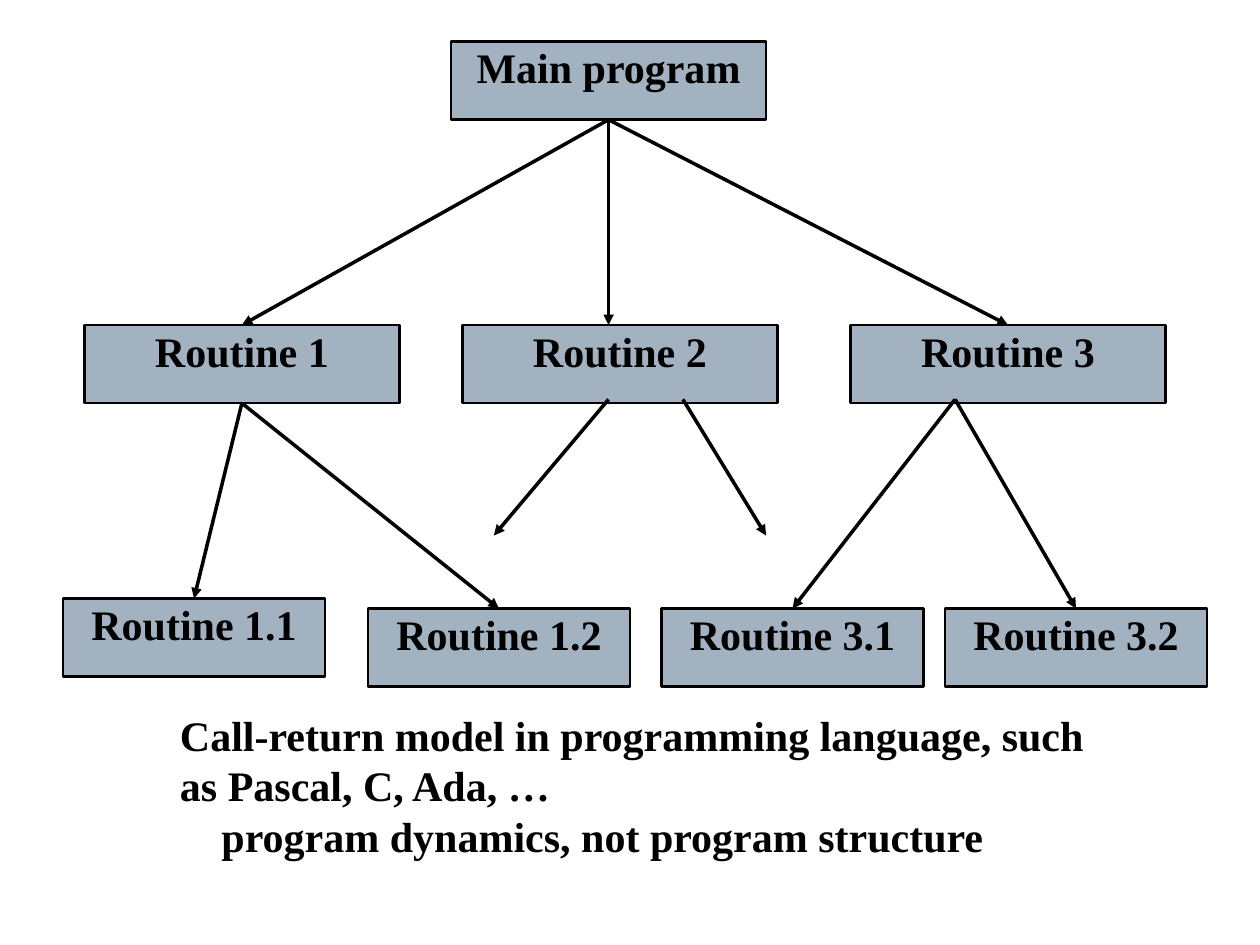
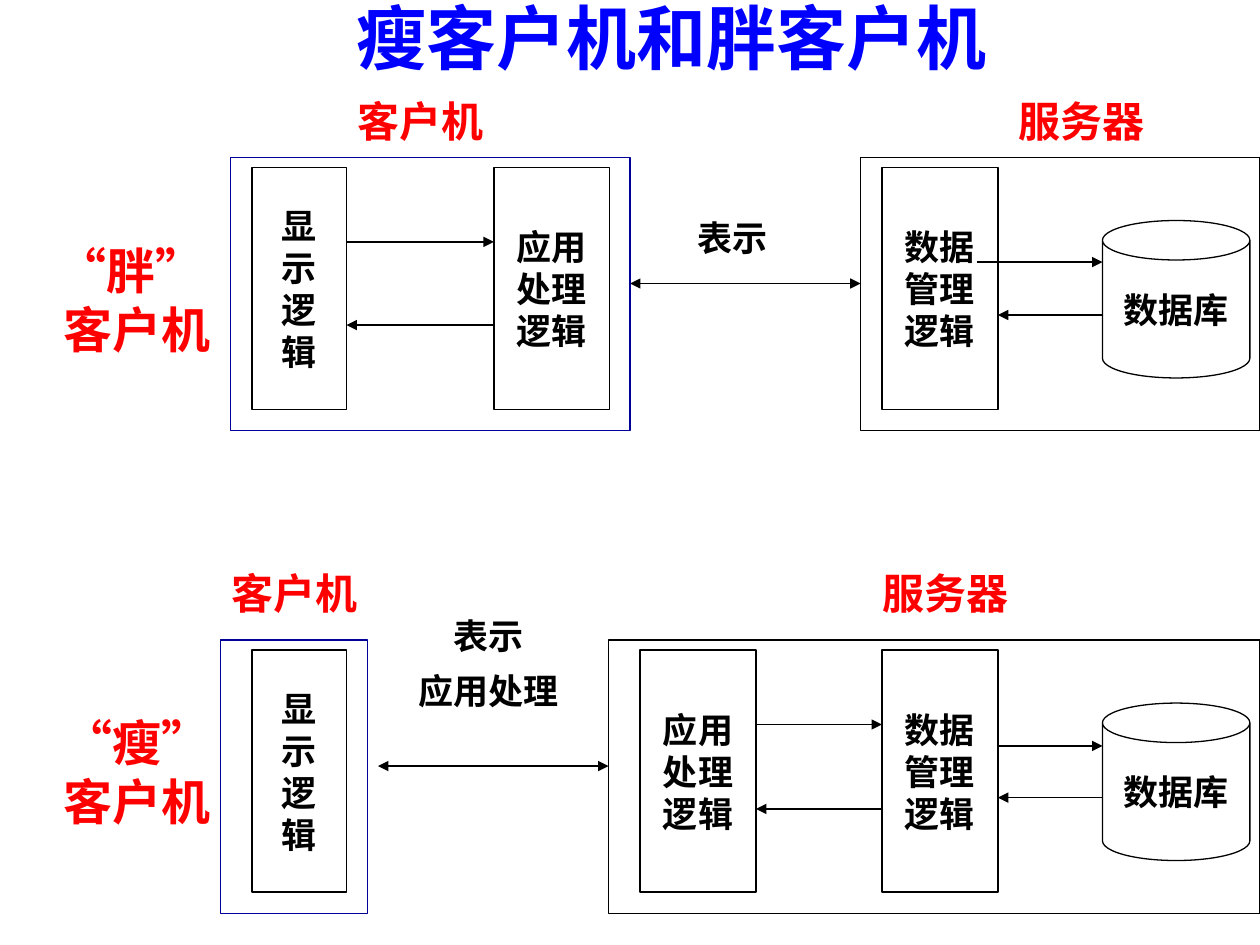
from lxml import etree
from pptx import Presentation
from pptx.dml.color import RGBColor
from pptx.enum import shapes, text
from pptx.oxml import ns
from pptx import util as u

BLACK = RGBColor(0x00, 0x00, 0x00)
RED = RGBColor(0xFF, 0x00, 0x00)
BLUE = RGBColor(0x00, 0x00, 0xFF)
NAVY = RGBColor(0x00, 0x00, 0x99)
STEEL = RGBColor(0xA3, 0xB2, 0xC1)

SERIF = "Times New Roman"
SANS = "Arial"
RECT = shapes.MSO_SHAPE.RECTANGLE
CAN = shapes.MSO_SHAPE.CAN
CENTER = text.PP_ALIGN.CENTER
LEFT = text.PP_ALIGN.LEFT
TOP = text.MSO_ANCHOR.TOP
MIDDLE = text.MSO_ANCHOR.MIDDLE
TOP_SIDE, BOTTOM_SIDE = 0, 2


def is_point(end):
    return isinstance(end[0], (int, float))


class Painter:
    """Holds the current slide with its font, text size and line width."""

    def __init__(self, deck, font, size, line_width):
        self.page = deck.slides.add_slide(deck.slide_layouts[6])
        self.font = font
        self.size = size
        self.line_width = line_width

    def set_text(self, box, lines, size=None, color=BLACK, font=None,
                 align=CENTER, anchor=MIDDLE, wrap=False, gap=0):
        frame = box.text_frame
        frame.word_wrap = wrap
        frame.vertical_anchor = anchor
        for index, line in enumerate(lines):
            para = frame.paragraphs[0] if index == 0 else frame.add_paragraph()
            para.text = line
            para.alignment = align
            if index and gap:
                para.space_before = u.Pt(gap)
            para.font.name = font or self.font
            para.font.size = u.Pt(size or self.size)
            para.font.bold = True
            para.font.color.rgb = color
        return frame

    def label(self, area, lines, **style):
        box = self.page.shapes.add_textbox(*map(u.Inches, area))
        return self.set_text(box, lines, **style)

    def box(self, area, lines=(), kind=RECT, fill=None, line=BLACK, **style):
        box = self.page.shapes.add_shape(kind, *map(u.Inches, area))
        box.shadow.inherit = False
        if fill is None:
            box.fill.background()
        else:
            box.fill.solid()
            box.fill.fore_color.rgb = fill
        box.line.color.rgb = line
        box.line.width = u.Pt(0.75 if fill is None else 1.5)
        if lines:
            self.set_text(box, lines, **style)
        return box

    def arrow(self, start, end, both=False):
        """Each end is either an (x, y) point or a (box, side) pair."""
        points = [point if is_point(point) else (0, 0) for point in (start, end)]
        link = self.page.shapes.add_connector(
            shapes.MSO_CONNECTOR.STRAIGHT,
            *[u.Inches(value) for point in points for value in point])
        if not is_point(start):
            link.begin_connect(*start)
        if not is_point(end):
            link.end_connect(*end)
        link.line.color.rgb = BLACK
        link.line.width = u.Pt(self.line_width)
        properties = link._element.spPr
        line = properties.find(ns.qn("a:ln"))
        for tag in ("a:headEnd", "a:tailEnd") if both else ("a:tailEnd",):
            etree.SubElement(line, ns.qn(tag), type="triangle")
        etree.SubElement(properties, ns.qn("a:effectLst"))


def call_return_slide(deck):
    painter = Painter(deck, SERIF, 24, 2)

    # Routine boxes: left, top, width
    places = {
        "Main program": (3.58, 0.33, 2.5),
        "Routine 1": (0.67, 2.58, 2.5),
        "Routine 2": (3.67, 2.58, 2.5),
        "Routine 3": (6.75, 2.58, 2.5),
        "Routine 1.1": (0.5, 4.75, 2.08),
        "Routine 1.2": (2.92, 4.83, 2.08),
        "Routine 3.1": (5.25, 4.83, 2.08),
        "Routine 3.2": (7.5, 4.83, 2.08),
    }
    routines = {}
    for name, place in places.items():
        box = painter.box((*place, 0.62), [name], fill=STEEL, anchor=TOP, wrap=True)
        frame = box.text_frame
        frame.margin_left = frame.margin_right = 0
        frame.margin_top = frame.margin_bottom = 0
        routines[name] = box

    # Calls from one level to the next
    main_end = (routines["Main program"], BOTTOM_SIDE)
    first_end = (routines["Routine 1"], BOTTOM_SIDE)
    third_end = (7.58, 3.17)
    painter.arrow(main_end, (4.83, 2.58))
    for caller, name in ((main_end, "Routine 1"), (main_end, "Routine 3"),
                         (first_end, "Routine 1.1"), (first_end, "Routine 1.2"),
                         (third_end, "Routine 3.1"), (third_end, "Routine 3.2")):
        painter.arrow(caller, (routines[name], TOP_SIDE))
    painter.arrow((4.83, 3.17), (3.92, 4.25))
    painter.arrow((5.42, 3.17), (6.08, 4.25))

    # Caption
    caption = painter.label(
        (1.33, 5.58, 7.67, 1.3),
        ["Call-return model in programming language, such as Pascal, C, Ada, …",
         "program dynamics, not program structure"],
        align=LEFT, anchor=TOP, wrap=True)
    indent = caption.paragraphs[1]._p.get_or_add_pPr()
    indent.set("marL", str(u.Inches(0.33)))


def client_server_slide(deck):
    painter = Painter(deck, SANS, 20, 0.75)
    display = ["显", "示", "逻", "辑"]
    application = ["应用", "处理", "逻辑"]
    data = ["数据", "管理", "逻辑"]

    def exchange(left, right, out_y, back_y, out_left=None):
        painter.arrow((out_left or left, out_y), (right, out_y))
        painter.arrow((right, back_y), (left, back_y))

    painter.label((0.33, 0, 10, 0.58), ["瘦客户机和胖客户机"],
                  size=40, color=BLUE, font=SERIF, wrap=True)

    # Both client types: top, frames (left, width), headings, application, name
    rows = (
        (1.25, (1.83, 3.17), (6.83, 3.17), (2.25, 7.5), 0.58, 3.92, "“胖” ", 2),
        (5.08, (1.75, 1.17), (4.83, 5.17), (1.25, 6.42), 4.33, 5.08, "“瘦”", 5.75),
    )
    for top, client, server, headings, heading_y, app_x, name, name_y in rows:
        for (left, width), line in ((client, NAVY), (server, BLACK)):
            painter.box((left, top, width, 2.17), line=line)
        for left, heading in zip(headings, ("客户机", "服务器")):
            painter.label((left, heading_y, 2.17, 0.75), [heading], size=24, color=RED)
        painter.label((0, name_y, 2.17, 0.75), [name, "客户机"], size=28, color=RED)
        for left, width, lines in ((2, 0.75, display), (app_x, 0.92, application),
                                   (7, 0.92, data)):
            painter.box((left, top + 0.08, width, 1.92), lines)
        database = painter.box((8.75, top + 0.5, 1.17, 1.25), ["数据库"], kind=CAN)
        database.adjustments[0] = 0.268

    # Fat client links
    exchange(2.75, 3.92, 1.92, 2.58)
    exchange(7.92, 8.75, 2.08, 2.5, out_left=7.75)
    painter.arrow((5, 2.25), (6.83, 2.25), both=True)
    painter.label((5.44, 1.67, 0.76, 0.43), ["表示"], align=LEFT, anchor=TOP)

    # Thin client links
    exchange(6, 7, 5.75, 6.42)
    exchange(7.92, 8.75, 5.92, 6.33)
    painter.arrow((3, 6.08), (4.83, 6.08), both=True)
    painter.label((3.22, 4.83, 1.32, 0.88), ["表示", "应用处理"], anchor=TOP, gap=7)


def main():
    deck = Presentation()
    deck.slide_width = u.Inches(10)
    deck.slide_height = u.Inches(7.5)
    call_return_slide(deck)
    client_server_slide(deck)
    deck.save("out.pptx")


if __name__ == "__main__":
    main()
